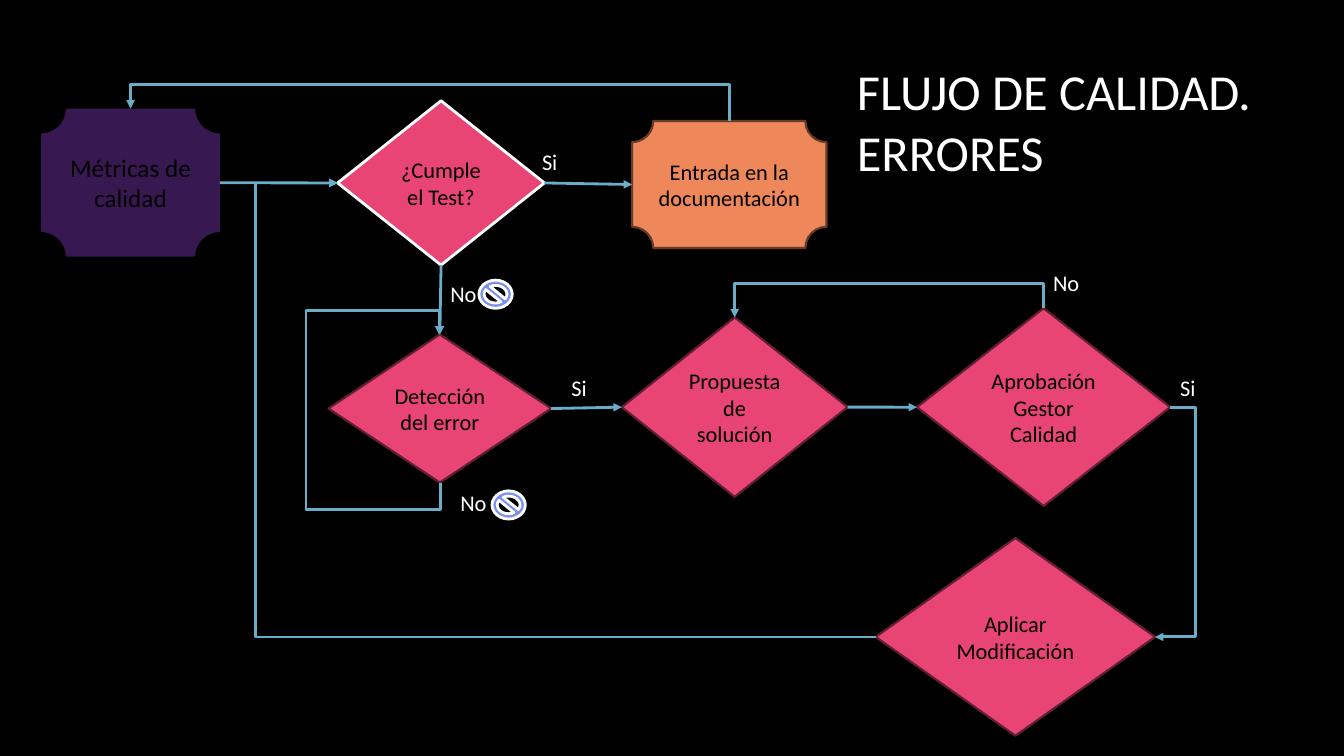
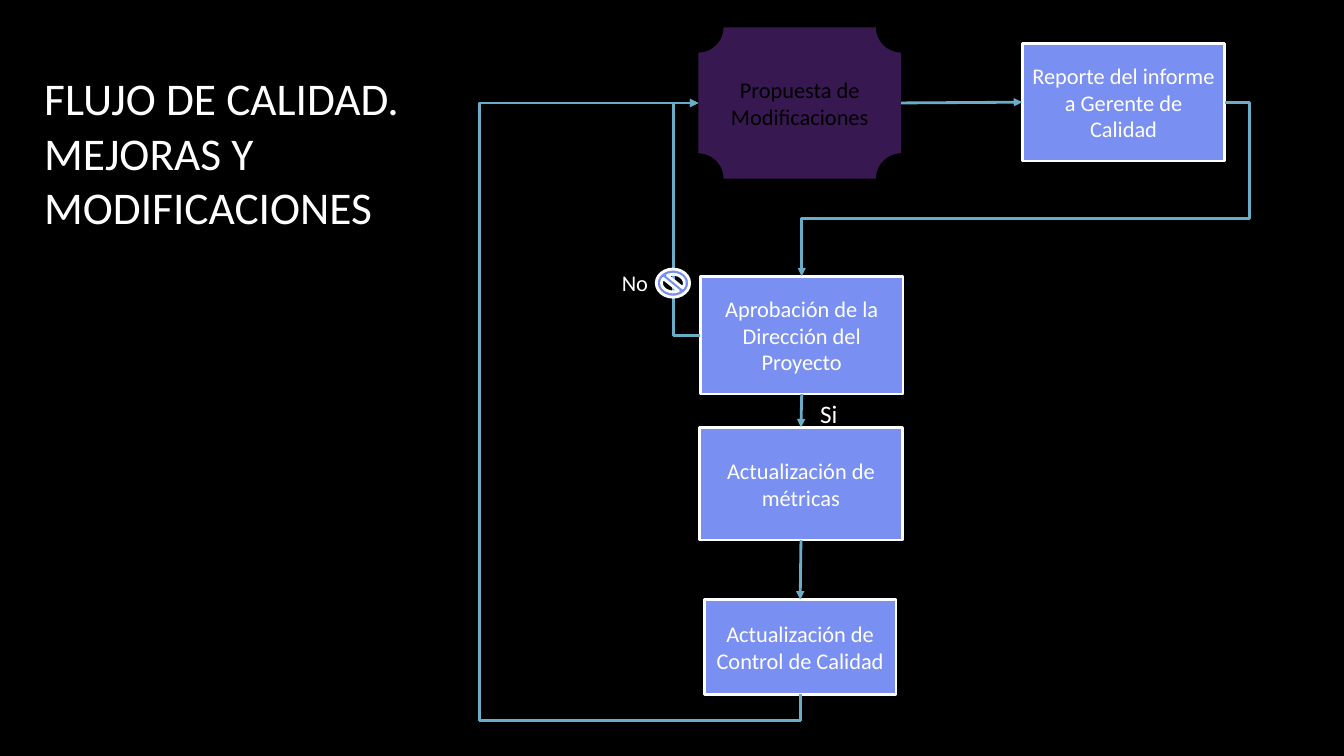
from dataclasses import dataclass
from enum import IntEnum
from typing import NamedTuple

import pptx
import pptx.dml.color
import pptx.enum.shapes
import pptx.enum.text
import pptx.oxml
import pptx.oxml.ns
import pptx.util
from lxml import etree

Cm = pptx.util.Cm
Pt = pptx.util.Pt
qn = pptx.oxml.ns.qn
Preset = pptx.enum.shapes.MSO_SHAPE
Anchor = pptx.enum.text.MSO_ANCHOR
Align = pptx.enum.text.PP_ALIGN

TITLE_ONLY = 5


@dataclass(frozen=True)
class Theme:
    font: str = "Calibri"
    background: str = "000000"
    light: str = "FFFFFF"
    dark: str = "000000"
    purple: str = "7030A0"
    pink: str = "E84574"
    pink_edge: str = "661E33"
    orange: str = "EE875A"
    orange_edge: str = "683B27"
    blue: str = "798FF2"
    arrow: str = "6AADC8"
    body_size: float = 16
    large_size: float = 18
    line_width: float = 2
    edge_width: float = 1.5


THEME = Theme()


class Style(NamedTuple):
    preset: int
    fill: str
    text_color: str
    edge: str | None = None
    edge_width: float = THEME.line_width
    opacity: int = 100


START = Style(Preset.PLAQUE, THEME.purple, THEME.dark, opacity=50)
TEST = Style(Preset.DIAMOND, THEME.pink, THEME.dark, THEME.light)
DECISION = Style(Preset.DIAMOND, THEME.pink, THEME.dark, THEME.pink_edge, THEME.edge_width)
PROPOSAL = DECISION._replace(preset=Preset.FLOWCHART_DECISION)
RECORD = Style(Preset.PLAQUE, THEME.orange, THEME.dark, THEME.orange_edge, THEME.edge_width)
PROCESS = Style(Preset.RECTANGLE, THEME.blue, THEME.light, THEME.light)
STOP = PROCESS._replace(preset=Preset.NO_SYMBOL)


class Side(IntEnum):
    """Connection sites, numbered as on the preset shapes."""

    TOP = 0
    LEFT = 1
    BOTTOM = 2
    RIGHT = 3


class Heading(NamedTuple):
    x: int
    y: int
    rotation: int


HEADINGS = {
    Side.RIGHT: Heading(1, 0, 0),
    Side.BOTTOM: Heading(0, 1, 90),
    Side.LEFT: Heading(-1, 0, 180),
    Side.TOP: Heading(0, -1, 270),
}


class Box(NamedTuple):
    """Left, top, width and height in centimetres."""

    left: float
    top: float
    width: float
    height: float

    def lengths(self) -> list[int]:
        return [Cm(value) for value in self]


class Node(NamedTuple):
    text: str
    style: Style
    box: Box
    size: float = THEME.body_size


class Link(NamedTuple):
    """An arrow; bends are the x and y (cm) at which it turns, alternating."""

    begin: str
    leaves: Side
    end: str
    enters: Side
    bends: tuple[float, ...] = ()


class Label(NamedTuple):
    text: str
    left: float
    top: float
    size: float = THEME.body_size


class Flow(NamedTuple):
    title: str
    title_box: Box
    title_size: float
    nodes: dict[str, Node]
    links: list[Link]
    labels: list[Label]
    stops: list[tuple[float, float]]


def rgb(color: str) -> pptx.dml.color.RGBColor:
    return pptx.dml.color.RGBColor.from_string(color)


def write_text(frame, text: str, *, size: float = THEME.body_size, color: str = THEME.light,
               align=Align.LEFT, anchor=Anchor.TOP) -> None:
    frame.word_wrap = True
    frame.auto_size = pptx.enum.text.MSO_AUTO_SIZE.NONE
    frame.vertical_anchor = anchor
    frame.text = text
    for paragraph in frame.paragraphs:
        paragraph.alignment = align
        for run in paragraph.runs:
            run.font.name = THEME.font
            run.font.size = Pt(size)
            run.font.color.rgb = rgb(color)


def add_styled_shape(slide, style: Style, box: Box):
    shape = slide.shapes.add_shape(style.preset, *box.lengths())
    shape.shadow.inherit = False
    shape.fill.solid()
    shape.fill.fore_color.rgb = rgb(style.fill)
    if style.opacity < 100:
        color = shape._element.spPr.find(qn("a:solidFill"))[0]
        etree.SubElement(color, qn("a:alpha")).set("val", str(style.opacity * 1000))
    if style.edge:
        shape.line.color.rgb = rgb(style.edge)
        shape.line.width = Pt(style.edge_width)
    else:
        shape.line.fill.background()
    return shape


def add_node(slide, node: Node):
    shape = add_styled_shape(slide, node.style, node.box)
    write_text(shape.text_frame, node.text, size=node.size, color=node.style.text_color,
               align=Align.CENTER, anchor=Anchor.MIDDLE)
    return shape


def bend_connector(connector, leaves: Side, bends: tuple[float, ...]) -> None:
    """Turn the connector box towards its first segment and set the bend positions."""
    heading = HEADINGS[leaves]
    side_x, side_y = -heading.y, heading.x
    start = (connector.begin_x, connector.begin_y)
    delta_x, delta_y = connector.end_x - start[0], connector.end_y - start[1]
    along = delta_x * heading.x + delta_y * heading.y or Pt(1)
    across = delta_x * side_x + delta_y * side_y or Pt(1)
    center_x, center_y = start[0] + delta_x / 2, start[1] + delta_y / 2

    connector.width, connector.height = abs(along), abs(across)
    connector.left = int(center_x - abs(along) / 2)
    connector.top = int(center_y - abs(across) / 2)
    properties = connector._element.spPr
    transform = properties.find(qn("a:xfrm"))
    transform.set("rot", str(heading.rotation * 60000))
    transform.set("flipH", str(int(along < 0)))
    transform.set("flipV", str(int(across < 0)))

    geometry = properties.find(qn("a:prstGeom"))
    geometry.set("prst", f"bentConnector{len(bends) + 2}")
    guides = geometry.find(qn("a:avLst"))
    for index, bend in enumerate(bends):
        forward = index % 2 == 0
        x, y = (heading.x, heading.y) if forward else (side_x, side_y)
        distance = (Cm(bend) - start[0 if x else 1]) * (x + y)
        fraction = distance / (along if forward else across)
        guide = etree.SubElement(guides, qn("a:gd"))
        guide.set("name", f"adj{index + 1}")
        guide.set("fmla", f"val {round(fraction * 100000)}")


def add_link(slide, link: Link, shapes: dict) -> None:
    kinds = pptx.enum.shapes.MSO_CONNECTOR
    kind = kinds.ELBOW if link.bends else kinds.STRAIGHT
    connector = slide.shapes.add_connector(kind, 0, 0, 0, 0)
    connector.begin_connect(shapes[link.begin], link.leaves)
    connector.end_connect(shapes[link.end], link.enters)
    if link.bends:
        bend_connector(connector, link.leaves, link.bends)
    connector.line.color.rgb = rgb(THEME.arrow)
    connector.line.width = Pt(THEME.line_width)
    properties = connector._element.spPr
    etree.SubElement(properties.find(qn("a:ln")), qn("a:tailEnd")).set("type", "triangle")
    etree.SubElement(properties, qn("a:effectLst"))


def add_flow(presentation, flow: Flow) -> None:
    slide = presentation.slides.add_slide(presentation.slide_layouts[TITLE_ONLY])
    title = slide.shapes.title
    title.left, title.top, title.width, title.height = flow.title_box.lengths()
    title.text_frame.margin_top = 0
    write_text(title.text_frame, flow.title, size=flow.title_size)

    shapes = {name: add_node(slide, node) for name, node in flow.nodes.items()}
    for link in flow.links:
        add_link(slide, link, shapes)
    for label in flow.labels:
        box = slide.shapes.add_textbox(*Box(label.left, label.top, 1.4, 0.94).lengths())
        write_text(box.text_frame, label.text, size=label.size)
    for left, top in flow.stops:
        add_styled_shape(slide, STOP, Box(left, top, 0.84, 0.71))


ERRORS = Flow(
    title="FLUJO DE CALIDAD.\vERRORES",
    title_box=Box(21.34, 1.52, 12, 3.5),
    title_size=36,
    nodes={
        "metrics": Node("Métricas de calidad", START, Box(1.04, 2.74, 4.5, 3.73),
                        THEME.large_size),
        "test": Node("¿Cumple el Test?", TEST, Box(8.51, 2.54, 5.21, 4.14)),
        "detection": Node("Detección del error", DECISION, Box(8.28, 8.43, 5.61, 3.73)),
        "entry": Node("Entrada en la documentación", RECORD, Box(15.93, 3.05, 4.9, 3.2)),
        "proposal": Node("Propuesta de solución", PROPOSAL, Box(15.67, 8, 5.69, 4.52)),
        "approval": Node("Aprobación Gestor Calidad", DECISION, Box(23.11, 7.77, 6.38, 4.98)),
        "change": Node("Aplicar Modificación", DECISION, Box(22.07, 13.56, 7.04, 4.98)),
    },
    links=[
        Link("metrics", Side.RIGHT, "test", Side.LEFT),
        Link("test", Side.RIGHT, "entry", Side.LEFT),
        Link("test", Side.BOTTOM, "detection", Side.TOP),
        Link("entry", Side.TOP, "metrics", Side.TOP, (2.13,)),
        Link("detection", Side.RIGHT, "proposal", Side.LEFT),
        Link("detection", Side.BOTTOM, "detection", Side.TOP, (12.83, 7.67, 7.82)),
        Link("proposal", Side.RIGHT, "approval", Side.LEFT),
        Link("approval", Side.TOP, "proposal", Side.TOP, (7.14,)),
        Link("approval", Side.RIGHT, "change", Side.RIGHT, (30.12,)),
        Link("change", Side.LEFT, "test", Side.LEFT, (6.43,)),
    ],
    labels=[
        Label("Si", 13.41, 3.61),
        Label("No", 11.1, 6.93),
        Label("Si", 14.15, 9.3),
        Label("No", 11.35, 12.19),
        Label("Si", 29.49, 9.3),
        Label("No", 26.29, 6.65),
    ],
    stops=[(12.07, 7.06), (12.4, 12.37)],
)

IMPROVEMENTS = Flow(
    title="FLUJO DE CALIDAD.\vMEJORAS Y\vMODIFICACIONES",
    title_box=Box(0.86, 1.78, 11, 4.5),
    title_size=32.4,
    nodes={
        "proposal": Node("Propuesta de Modificaciones", START, Box(17.6, 0.69, 5.11, 3.81)),
        "report": Node("Reporte del informe a Gerente de Calidad", PROCESS,
                       Box(25.76, 1.09, 5.11, 2.97)),
        "approval": Node("Aprobación de la Dirección del Proyecto", PROCESS,
                         Box(17.65, 6.96, 5.11, 2.97)),
        "metrics": Node("Actualización de métricas", PROCESS, Box(17.63, 10.77, 5.11, 2.84)),
        "control": Node("Actualización de\nControl de Calidad", PROCESS,
                        Box(17.75, 15.11, 4.83, 2.39)),
    },
    links=[
        Link("proposal", Side.RIGHT, "report", Side.LEFT),
        Link("report", Side.RIGHT, "approval", Side.TOP, (31.5, 5.51)),
        Link("approval", Side.LEFT, "proposal", Side.LEFT, (16.97,)),
        Link("approval", Side.BOTTOM, "metrics", Side.TOP),
        Link("metrics", Side.BOTTOM, "control", Side.TOP),
        Link("control", Side.BOTTOM, "proposal", Side.LEFT, (18.16, 12.09)),
    ],
    labels=[Label("Si", 20.42, 9.91, THEME.large_size), Label("No", 15.42, 6.65)],
    stops=[(16.54, 6.78)],
)


def main() -> None:
    presentation = pptx.Presentation()
    presentation.slide_width = Cm(33.87)
    presentation.slide_height = Cm(19.05)
    background = presentation.slide_master.background.fill
    background.solid()
    background.fore_color.rgb = rgb(THEME.background)
    for flow in (ERRORS, IMPROVEMENTS):
        add_flow(presentation, flow)
    presentation.save("out.pptx")


if __name__ == "__main__":
    main()
